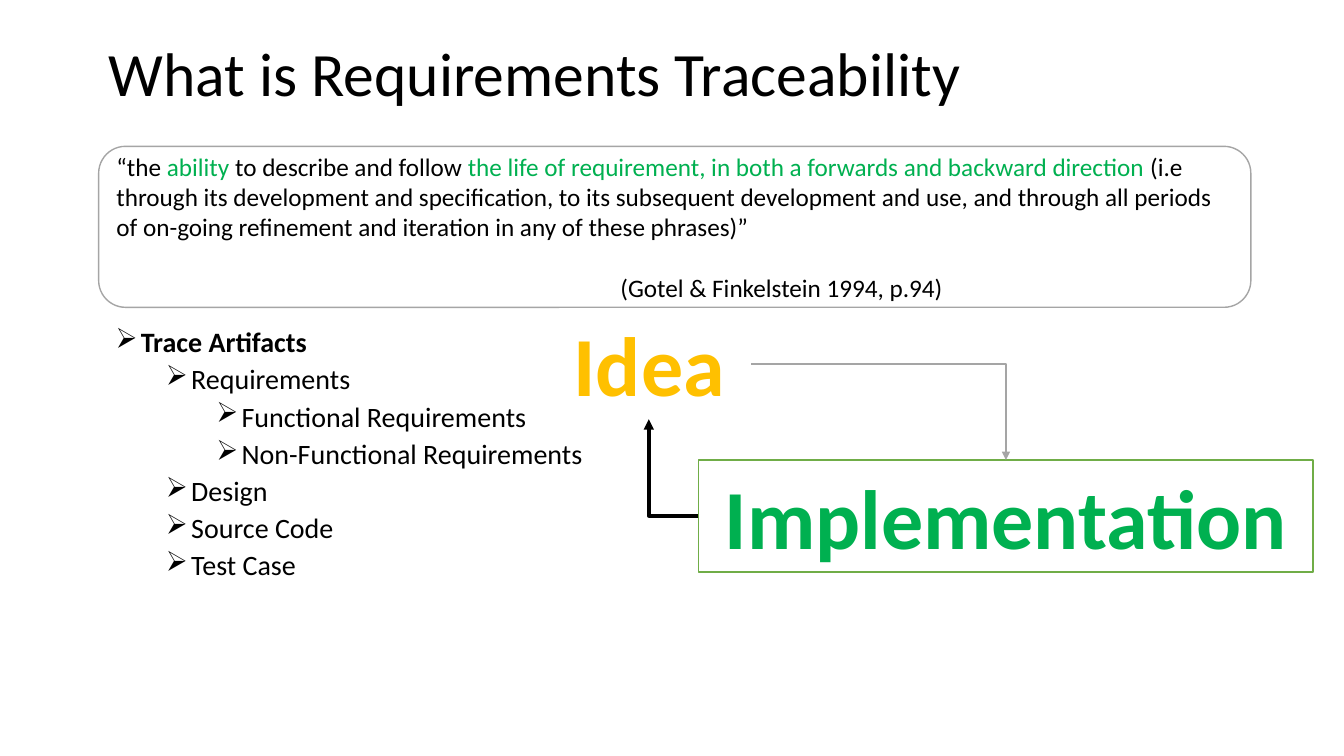
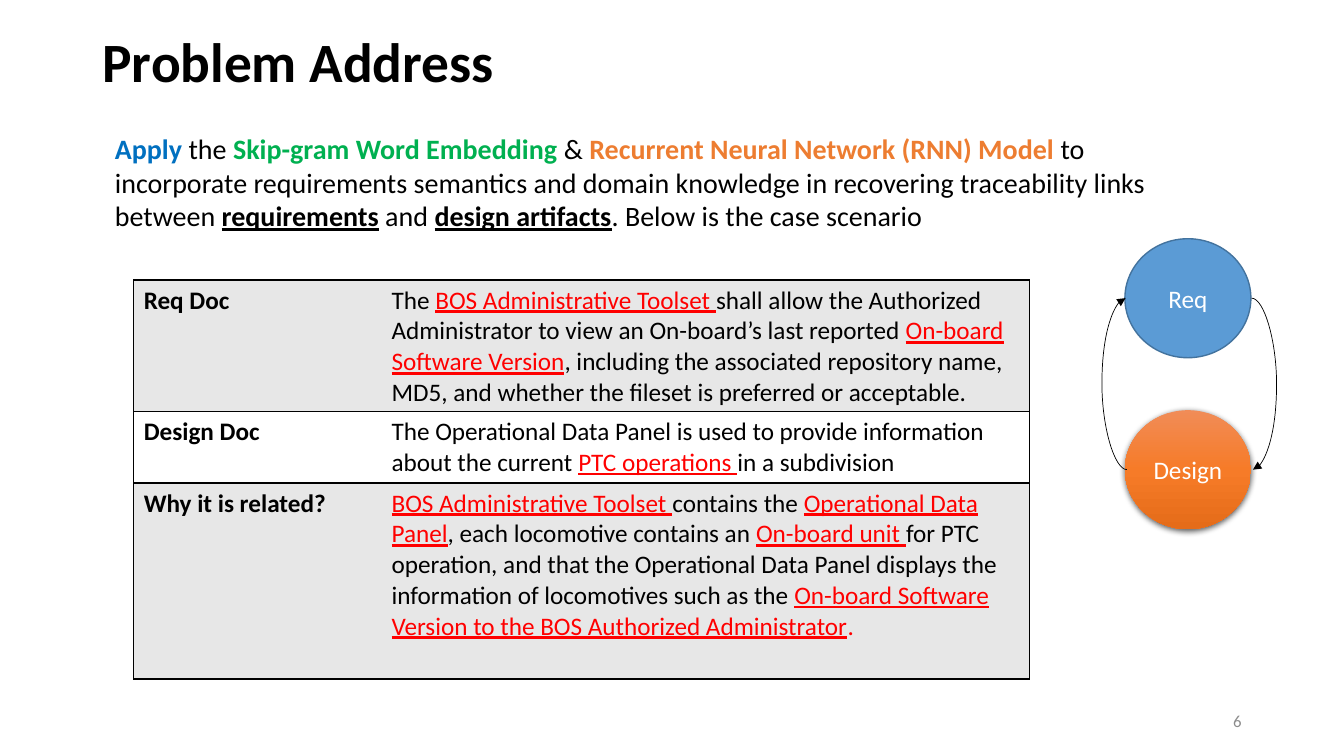
from lxml.etree import SubElement
from pptx import Presentation
from pptx.dml.color import RGBColor
from pptx.enum.shapes import MSO_CONNECTOR, MSO_SHAPE
from pptx.enum.text import MSO_ANCHOR, MSO_AUTO_SIZE, PP_ALIGN
from pptx.oxml.ns import qn
from pptx.util import Pt

FONT = "Calibri"
COLORS = {
    "black": "000000", "white": "FFFFFF", "gray": "A5A5A5", "number": "8C8C8C",
    "band": "E7E7E7", "green": "00B050", "leaf": "70AD47", "gold": "FFC000",
    "azure": "0070C0", "orange": "ED7D31", "red": "FF0000",
    "blue": "5B9BD5", "navy": "43739E",
}
DESIGN_STOPS = [(0, "F18C57"), (50, "F67B28"), (100, "E56C19")]

GREEN = {"color": "green"}
BOLD = {"bold": True}
KEY = {"bold": True, "underline": True}
LINK = {"color": "red", "underline": True}

QUOTE = [
    "\u201cthe ", ("ability", GREEN), " to describe and follow ",
    ("the life of requirement, in both a forwards and backward direction ", GREEN),
    "(i.e through its development and specification, to its subsequent development "
    "and use, and through all periods of on-going refinement and iteration in any "
    "of these phrases)\u201d",
]
ARTIFACTS = [
    (0, "Trace Artifacts"), (1, "Requirements"), (2, "Functional Requirements"),
    (2, "Non-Functional Requirements"), (1, "Design"), (1, "Source Code"),
    (1, "Test Case"),
]
APPROACH = [
    ("Apply", {"color": "azure", "bold": True}), " the ",
    ("Skip-gram Word Embedding ", {"color": "green", "bold": True}), "& ",
    ("Recurrent Neural Network (RNN) Model ", {"color": "orange", "bold": True}),
    "to incorporate requirements semantics and domain knowledge in recovering "
    "traceability links between ",
    ("requirements", KEY), " and ", ("design artifacts", KEY),
    ". Below is the case scenario",
]
SCENARIO = [
    ("Req Doc", [
        "The ", ("BOS Administrative Toolset ", LINK),
        "shall allow the Authorized Administrator to view an On-board\u2019s last reported ",
        ("On-board Software Version", LINK),
        ", including the associated repository name, MD5, and whether the fileset "
        "is preferred or acceptable.",
    ]),
    ("Design Doc", [
        "The Operational Data Panel is used to provide information about the current ",
        ("PTC operations ", LINK), "in a subdivision",
    ]),
    ("Why it is related?", [
        ("BOS Administrative Toolset ", LINK), "contains the ",
        ("Operational Data Panel", LINK), ", each locomotive contains an ",
        ("On-board unit ", LINK),
        "for PTC operation, and that the Operational Data Panel displays the "
        "information of locomotives such as the ",
        ("On-board Software Version to the BOS Authorized Administrator", LINK),
        (".", {"color": "red"}),
    ]),
]


def rgb(name):
    return RGBColor.from_string(COLORS[name])


def child(parent, tag, **attrs):
    return SubElement(parent, qn(tag), {k: str(v) for k, v in attrs.items()})


def box_pt(box):
    return [Pt(v) for v in box]


def write(p, runs, size, **base):
    for run in runs:
        text, own = (run, {}) if isinstance(run, str) else run
        fmt = {"name": FONT, "size": Pt(size), "color": "black", **base, **own}
        r = p.add_run()
        r.text = text
        r.font.color.rgb = rgb(fmt.pop("color"))
        for key, value in fmt.items():
            setattr(r.font, key, value)


def add_title(s, text, box, size, bold=False):
    sp = s.shapes.title
    for key, value in zip(("left", "top", "width", "height"), box_pt(box)):
        setattr(sp, key, value)
    tf = sp.text_frame
    tf.auto_size = MSO_AUTO_SIZE.NONE
    tf.vertical_anchor = MSO_ANCHOR.MIDDLE
    p = tf.paragraphs[0]
    p.alignment = PP_ALIGN.LEFT
    p.line_spacing = 0.9
    write(p, [text], size, bold=bold)


def add_text(s, box, runs, size, align=PP_ALIGN.LEFT, anchor=MSO_ANCHOR.TOP, **base):
    tf = s.shapes.add_textbox(*box_pt(box)).text_frame
    tf.word_wrap = True
    tf.vertical_anchor = anchor
    p = tf.paragraphs[0]
    p.alignment = align
    write(p, runs, size, **base)


def add_shape(s, kind, box, runs, size, fill="white", line=None,
              align=PP_ALIGN.CENTER, **base):
    sp = s.shapes.add_shape(kind, *box_pt(box))
    sp.shadow.inherit = False
    sp.fill.solid()
    sp.fill.fore_color.rgb = rgb(fill)
    if line:
        sp.line.color.rgb = rgb(line)
        sp.line.width = Pt(1)
    else:
        sp.line.fill.background()
    tf = sp.text_frame
    tf.word_wrap = True
    tf.vertical_anchor = MSO_ANCHOR.MIDDLE
    p = tf.paragraphs[0]
    p.alignment = align
    write(p, runs, size, **base)
    return sp


def add_glow(sp, stops):
    sp.fill.gradient()
    sp.fill.gradient_angle = 270
    spPr = sp.element.spPr
    stop_list = spPr.find(qn("a:gradFill")).find(qn("a:gsLst"))
    stop_list.clear()
    for pos, color in stops:
        child(child(stop_list, "a:gs", pos=pos * 1000), "a:srgbClr", val=color)
    shadow = child(spPr.find(qn("a:effectLst")), "a:outerShdw", blurRad=Pt(4.5),
                   dist=Pt(1.5), dir=5400000, algn="ctr", rotWithShape=0)
    child(child(shadow, "a:srgbClr", val=COLORS["black"]), "a:alpha", val=63000)


def add_arrow(s, kind, preset, start, end, color, width, bulge=None):
    cx = s.shapes.add_connector(kind, *box_pt(start + end))
    cx.line.color.rgb = rgb(color)
    cx.line.width = Pt(width)
    spPr = cx.element.spPr
    geom = spPr.find(qn("a:prstGeom"))
    geom.set("prst", preset)
    if bulge:
        guides = geom.find(qn("a:avLst"))
        if guides is None:
            guides = child(geom, "a:avLst")
        child(guides, "a:gd", name="adj1", fmla=f"val {bulge * 100000}")
    child(spPr.find(qn("a:ln")), "a:tailEnd", type="triangle")
    child(spPr, "a:effectLst")


def add_bullets(s, box, items, size):
    tf = s.shapes.add_textbox(*box_pt(box)).text_frame
    tf.word_wrap = True
    for i, (level, text) in enumerate(items):
        p = tf.add_paragraph() if i else tf.paragraphs[0]
        p.level = level
        p.line_spacing = 0.9
        p.space_before = Pt(5 if level else 10)
        pPr = p._p.get_or_add_pPr()
        pPr.set("marL", str(Pt(18 + 36 * level)))
        pPr.set("indent", str(-Pt(18)))
        child(pPr, "a:buChar", char="\u27a2")
        write(p, [text], size, bold=level == 0)


def add_border(tcPr, side, visible):
    ln = child(tcPr, f"a:{side}", w=Pt(1))
    if visible:
        child(child(ln, "a:solidFill"), "a:srgbClr", val=COLORS["black"])
    else:
        child(ln, "a:noFill")


def add_table(s, box, widths, heights, rows, size):
    table = s.shapes.add_table(len(rows), len(widths), *box_pt(box)).table
    table.first_row = table.horz_banding = False
    for column, width in zip(table.columns, widths):
        column.width = Pt(width)
    for i, (label, runs) in enumerate(rows):
        table.rows[i].height = Pt(heights[i])
        for j, content in enumerate(([(label, BOLD)], runs)):
            cell = table.cell(i, j)
            tcPr = cell._tc.get_or_add_tcPr()
            for side, visible in (("lnL", j == 0), ("lnR", j == 1),
                                  ("lnT", True), ("lnB", True)):
                add_border(tcPr, side, visible)
            cell.fill.solid()
            cell.fill.fore_color.rgb = rgb("white" if i % 2 else "band")
            write(cell.text_frame.paragraphs[0], content, size)


def traceability_slide(s):
    add_title(s, "What is Requirements Traceability", (70.5, 24.5, 640, 60.5), 44)
    sp = add_shape(s, MSO_SHAPE.ROUNDED_RECTANGLE, (70.5, 104.5, 823, 115), QUOTE, 18,
                   line="gray", align=PP_ALIGN.LEFT)
    p = sp.text_frame.add_paragraph()
    p.alignment = PP_ALIGN.LEFT
    p.space_before = Pt(22)
    p._p.get_or_add_pPr().set("marL", str(Pt(360)))
    write(p, ["(Gotel & Finkelstein 1994, p.94)"], 18)
    add_bullets(s, (75.5, 231, 365, 215), ARTIFACTS, 20)
    add_text(s, (391, 219.5, 145.5, 80), ["Idea"], 60, PP_ALIGN.CENTER,
             color="gold", bold=True)
    add_shape(s, MSO_SHAPE.RECTANGLE, (499, 328.5, 439, 80), ["Implementation"], 60,
              line="leaf", color="green", bold=True)
    for start, end, color, width in (
        ((536.5, 260), (718.5, 328.5), "gray", 1.75),
        ((499, 368.5), (463.5, 299.5), "black", 2.5),
    ):
        add_arrow(s, MSO_CONNECTOR.ELBOW, "bentConnector2", start, end, color, width)


def problem_slide(s):
    add_title(s, "Problem Address", (66, 25, 828, 42.5), 39.6, bold=True)
    add_text(s, (678, 500.5, 216, 29), ["6"], 12, PP_ALIGN.RIGHT, MSO_ANCHOR.MIDDLE,
             color="number")
    add_text(s, (75, 90.5, 785.5, 80), APPROACH, 20)
    add_table(s, (95.5, 200, 640, 285), (177, 463), (94, 51, 140), SCENARIO, 18)
    add_shape(s, MSO_SHAPE.OVAL, (803.5, 170.5, 90, 85), ["Req"], 18,
              fill="blue", line="navy", color="white")
    design = add_shape(s, MSO_SHAPE.OVAL, (803.5, 293, 90, 85), ["Design"], 18,
                       fill="orange", color="white")
    add_glow(design, DESIGN_STOPS)
    for start, end in (((894, 213), (895, 335.5)), ((805, 335.5), (804, 213))):
        add_arrow(s, MSO_CONNECTOR.CURVE, "curvedConnector3", start, end,
                  "black", 0.5, bulge=18)


def main():
    prs = Presentation()
    prs.slide_width, prs.slide_height = Pt(960), Pt(540)
    for build in (traceability_slide, problem_slide):
        build(prs.slides.add_slide(prs.slide_layouts[5]))
    prs.save("out.pptx")


main()
